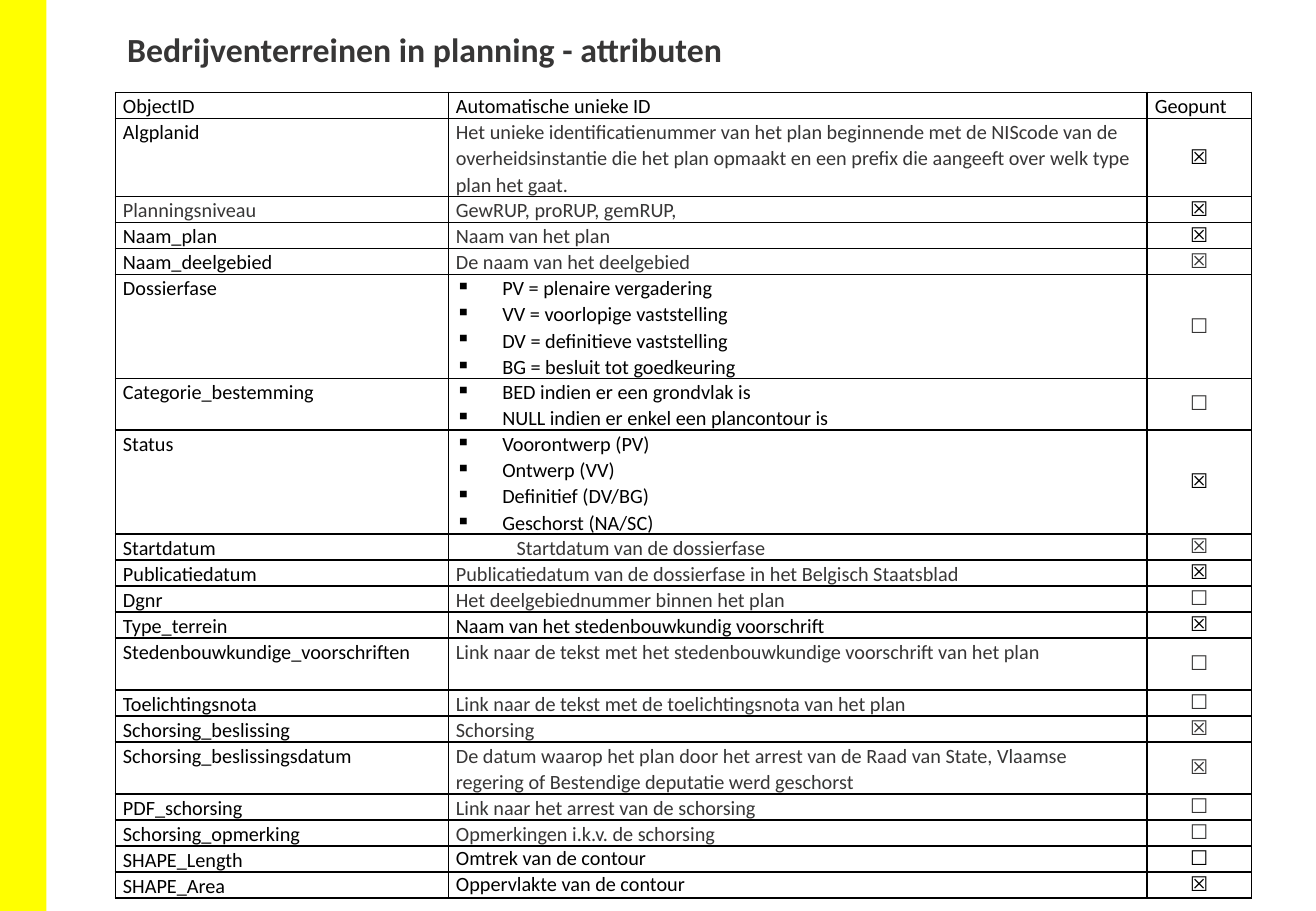
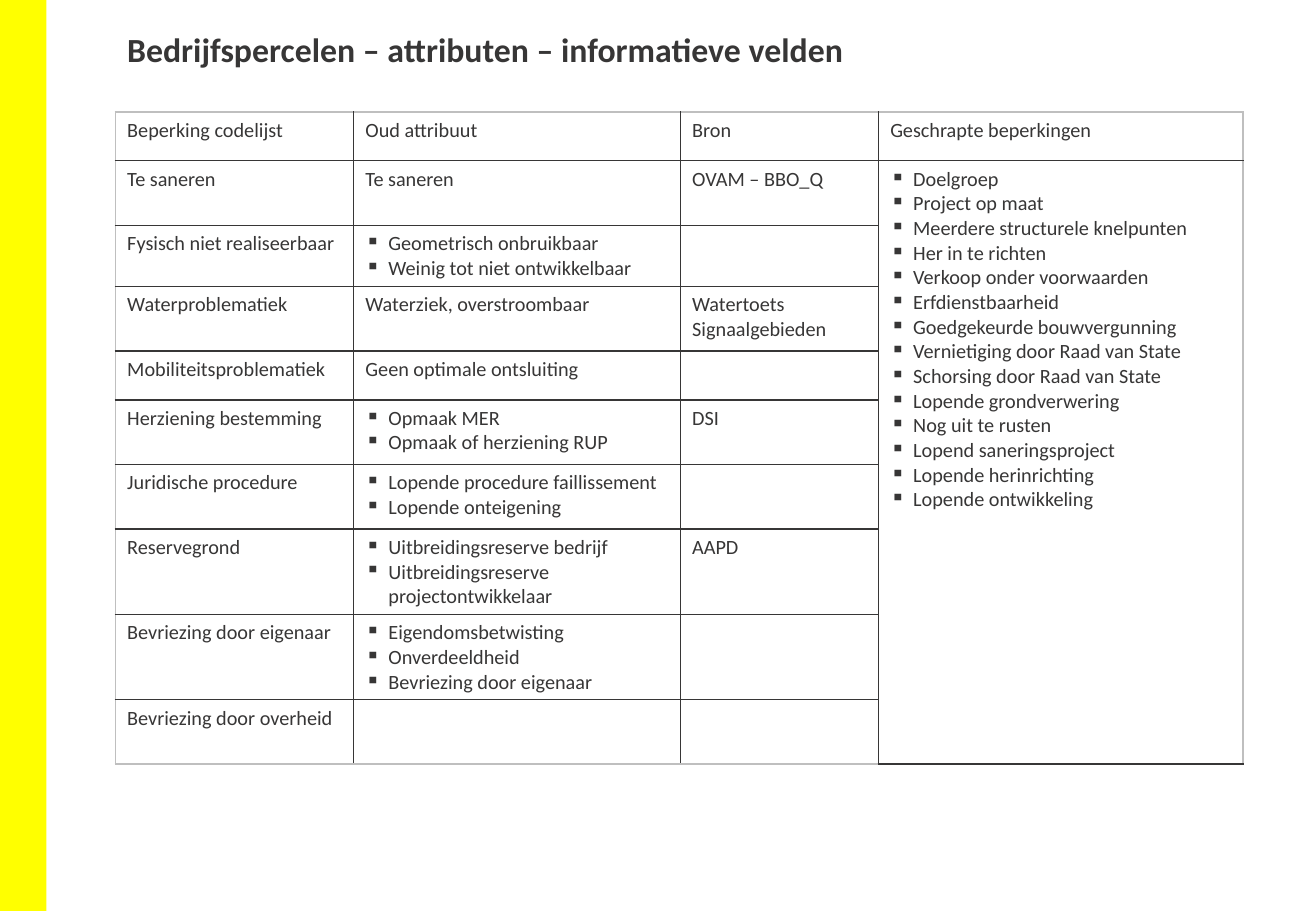
from dataclasses import dataclass

from lxml import etree
from pptx import Presentation
from pptx.dml.color import RGBColor
from pptx.enum.shapes import MSO_SHAPE
from pptx.enum.text import MSO_ANCHOR, PP_ALIGN
from pptx.oxml.ns import qn
from pptx.slide import Slide
from pptx.table import Table, _Cell
from pptx.text.text import _Paragraph
from pptx.util import Cm, Pt

RECT = MSO_SHAPE.RECTANGLE
MIDDLE = MSO_ANCHOR.MIDDLE
CENTER = PP_ALIGN.CENTER

BLACK, DARK, GREY = "000000", "373636", "BFBFBF"
WHITE, YELLOW = "FFFFFF", "FFFF00"
FONT, SYMBOL = "Calibri", "Noto Sans CJK JP"
ON, OFF = "☒", "☐"
LEFT = 2.41


@dataclass(frozen=True)
class Item:
    lines: tuple[str, ...] = ()
    tone: str = DARK
    bullet: float = 0
    indent: float = 0
    space: float = 1
    mark: bool = False


@dataclass(frozen=True)
class Field:
    name: str
    note: str | tuple[str, ...]
    mark: str
    tones: tuple[str, str, str] = (BLACK, DARK, DARK)
    size: int = 1
    indent: float = 0
    space: float = 1.07


@dataclass(frozen=True)
class Grid:
    top: float
    cols: tuple[float, ...]
    rows: tuple[float, ...]
    line: str
    edge: str
    side: float
    ends: float


FIELDS = (
    Field("Algplanid",
          "Het unieke identificatienummer van het plan beginnende met de NIScode van de "
          "overheidsinstantie die het plan opmaakt en een prefix die aangeeft over welk type "
          "plan het gaat.", ON, (BLACK, DARK, BLACK), 3),
    Field("Planningsniveau", "GewRUP, proRUP, gemRUP,", ON, (DARK, DARK, BLACK)),
    Field("Naam_plan", "Naam van het plan", ON, (BLACK, DARK, BLACK)),
    Field("Naam_deelgebied", "De naam van het deelgebied", ON),
    Field("Dossierfase",
          ("PV = plenaire vergadering", "VV = voorlopige vaststelling",
           "DV = definitieve vaststelling", "BG = besluit tot goedkeuring"),
          OFF, (BLACK, BLACK, DARK), 4),
    Field("Categorie_bestemming",
          ("BED indien er een grondvlak is", "NULL indien er enkel een plancontour is"),
          OFF, (BLACK, BLACK, DARK), 2),
    Field("Status",
          ("Voorontwerp (PV)", "Ontwerp (VV)", "Definitief (DV/BG)", "Geschorst (NA/SC)"),
          ON, (BLACK, BLACK, BLACK), 4),
    Field("Startdatum", "Startdatum van de dossierfase", ON, indent=1.27),
    Field("Publicatiedatum", "Publicatiedatum van de dossierfase in het Belgisch Staatsblad",
          ON, (BLACK, DARK, BLACK)),
    Field("Dgnr", "Het deelgebiednummer binnen het plan", OFF),
    Field("Type_terrein", "Naam van het stedenbouwkundig voorschrift", ON,
          (BLACK, BLACK, BLACK)),
    Field("Stedenbouwkundige_voorschriften",
          "Link naar de tekst met het stedenbouwkundige voorschrift van het plan", OFF, size=2),
    Field("Toelichtingsnota", "Link naar de tekst met de toelichtingsnota van het plan", OFF),
    Field("Schorsing_beslissing", "Schorsing", ON),
    Field("Schorsing_beslissingsdatum",
          "De datum waarop het plan door het arrest van de Raad van State, Vlaamse regering "
          "of Bestendige deputatie werd geschorst", ON, size=2),
    Field("PDF_schorsing", "Link naar het arrest van de schorsing", OFF),
    Field("Schorsing_opmerking", "Opmerkingen i.k.v. de schorsing", OFF),
    Field("SHAPE_Length", "Omtrek van de contour", OFF, (BLACK, BLACK, BLACK), space=1),
    Field("SHAPE_Area", "Oppervlakte van de contour", ON, (BLACK, BLACK, BLACK), space=1),
)

LIMITS = (
    ("Beperking codelijst", "Oud attribuut", ("Bron",)),
    ("Te saneren", "Te saneren", ("OVAM – BBO_Q",)),
    ("Fysisch niet realiseerbaar",
     ("Geometrisch onbruikbaar", "Weinig tot niet ontwikkelbaar"), ()),
    ("Waterproblematiek", "Waterziek, overstroombaar", ("Watertoets", "Signaalgebieden")),
    ("Mobiliteitsproblematiek", "Geen optimale ontsluiting", ()),
    ("Herziening bestemming", ("Opmaak MER", "Opmaak of herziening RUP"), ("DSI",)),
    ("Juridische procedure", ("Lopende procedure faillissement", "Lopende onteigening"), ()),
    ("Reservegrond",
     ("Uitbreidingsreserve bedrijf", "Uitbreidingsreserve projectontwikkelaar"), ("AAPD",)),
    ("Bevriezing door eigenaar",
     ("Eigendomsbetwisting", "Onverdeeldheid", "Bevriezing door eigenaar"), ()),
    ("Bevriezing door overheid", (), ()),
)

DROPPED = (
    "Doelgroep", "Project op maat", "Meerdere structurele knelpunten", "Her in te richten",
    "Verkoop onder voorwaarden", "Erfdienstbaarheid", "Goedgekeurde bouwvergunning",
    "Vernietiging door Raad van State", "Schorsing door Raad van State",
    "Lopende grondverwering", "Nog uit te rusten", "Lopend saneringsproject",
    "Lopende herinrichting", "Lopende ontwikkeling",
)


def color(code: str) -> RGBColor:
    return RGBColor.from_string(code)


def add_run(para: _Paragraph, text: str, tone: str, size: float = 12,
            face: str = FONT, bold: bool = False) -> None:
    run = para.add_run()
    run.text = text
    run.font.size = Pt(size)
    run.font.name = face
    run.font.bold = bold
    run.font.color.rgb = color(tone)
    if face == SYMBOL:
        latin = run.font._element.find(qn("a:latin"))
        east = etree.Element(qn("a:ea"), typeface=face)
        latin.addnext(east)


def add_bullet(para: _Paragraph, hang: float) -> None:
    props = para._p.get_or_add_pPr()
    props.set("marL", str(Cm(hang)))
    props.set("indent", str(-Cm(hang)))
    etree.SubElement(props, qn("a:buChar"), char="▪")


def add_line(cell: _Cell, side: str, tone: str) -> None:
    props = cell._tc.get_or_add_tcPr()
    line = etree.SubElement(props, qn(f"a:ln{side}"), w=str(Pt(1)))
    fill = etree.SubElement(line, qn("a:solidFill"))
    etree.SubElement(fill, qn("a:srgbClr"), val=tone)


def fill_cell(cell: _Cell, item: Item) -> None:
    frame = cell.text_frame
    for pos, text in enumerate(item.lines):
        para = frame.add_paragraph() if pos else frame.paragraphs[0]
        if item.bullet:
            add_bullet(para, item.bullet)
        elif item.indent:
            para._p.get_or_add_pPr().set("marL", str(Cm(item.indent)))
        if item.mark:
            para.alignment = CENTER
            para.line_spacing = Pt(15)
        elif item.space != 1:
            para.line_spacing = item.space
        add_run(para, text, item.tone, face=SYMBOL if item.mark else FONT)
    if item.mark:
        cell.vertical_anchor = MIDDLE


def add_grid(slide: Slide, grid: Grid, items: list[list[Item]]) -> Table:
    high, wide = len(grid.rows), len(grid.cols)
    table = slide.shapes.add_table(
        high, wide, Cm(LEFT), Cm(grid.top), Cm(sum(grid.cols)), Cm(sum(grid.rows))).table
    table.first_row = table.horz_banding = False
    for col, width in zip(table.columns, grid.cols):
        col.width = Cm(width)
    for row, height in zip(table.rows, grid.rows):
        row.height = Cm(height)
    for y, row in enumerate(items):
        for x, item in enumerate(row):
            cell = table.cell(y, x)
            cell.margin_left = cell.margin_right = Cm(grid.side)
            cell.margin_top = cell.margin_bottom = Cm(grid.ends)
            sides = {"L": x == 0, "R": x == wide - 1, "T": y == 0, "B": y == high - 1}
            for side, outer in sides.items():
                add_line(cell, side, grid.edge if outer else grid.line)
            cell.fill.solid()
            cell.fill.fore_color.rgb = color(WHITE)
            fill_cell(cell, item)
    return table


def add_base(deck: Presentation, title: str) -> Slide:
    slide = deck.slides.add_slide(deck.slide_layouts[6])
    band = slide.shapes.add_shape(RECT, 0, 0, Cm(0.97), deck.slide_height)
    band.shadow.inherit = False
    band.fill.solid()
    band.fill.fore_color.rgb = color(YELLOW)
    band.line.fill.background()
    box = slide.shapes.add_textbox(Cm(LEFT), Cm(0.48), Cm(23.24), Cm(1.12))
    box.text_frame.word_wrap = True
    add_run(box.text_frame.paragraphs[0], title, DARK, 20, bold=True)
    return slide


def add_plans(deck: Presentation) -> None:
    slide = add_base(deck, "Bedrijventerreinen in planning - attributen")
    heads = ("ObjectID", "Automatische unieke ID", "Geopunt")
    items = [[Item((head,), BLACK, space=1.07) for head in heads]]
    for field in FIELDS:
        name, note, mark = field.tones
        listed = isinstance(field.note, tuple)
        items.append([
            Item((field.name,), name, space=1.07),
            Item(field.note if listed else (field.note,), note,
                 0.97 if listed else 0, field.indent, field.space),
            Item((field.mark,), mark, mark=True),
        ])
    sizes = [1] + [field.size for field in FIELDS]
    unit = 16.84 / sum(sizes)
    rows = tuple(unit * size for size in sizes)
    add_grid(slide, Grid(1.93, (6.96, 14.61, 2.18), rows, BLACK, BLACK, 0.16, 0), items)


def add_limits(deck: Presentation) -> None:
    slide = add_base(deck, "Bedrijfspercelen – attributen – informatieve velden")
    items = []
    for name, old, source in LIMITS:
        listed = isinstance(old, tuple)
        items.append([
            Item((name,)),
            Item(old, bullet=0.48) if listed else Item((old,)),
            Item(source),
            Item(),
        ])
    items[0][3] = Item(("Geschrapte beperkingen",))
    items[1][3] = Item(DROPPED, bullet=0.48)
    rows = (1.02, 1.35, 1.27, 1.35, 1.02, 1.35, 1.35, 1.78, 1.78, 1.35)
    table = add_grid(
        slide, Grid(2.34, (4.98, 6.83, 4.14, 7.62), rows, DARK, GREY, 0.25, 0.13), items)
    table.cell(1, 3).merge(table.cell(len(rows) - 1, 3))


def main() -> None:
    deck = Presentation()
    deck.slide_width, deck.slide_height = Cm(27.51), Cm(19.05)
    add_plans(deck)
    add_limits(deck)
    deck.save("out.pptx")


if __name__ == "__main__":
    main()
